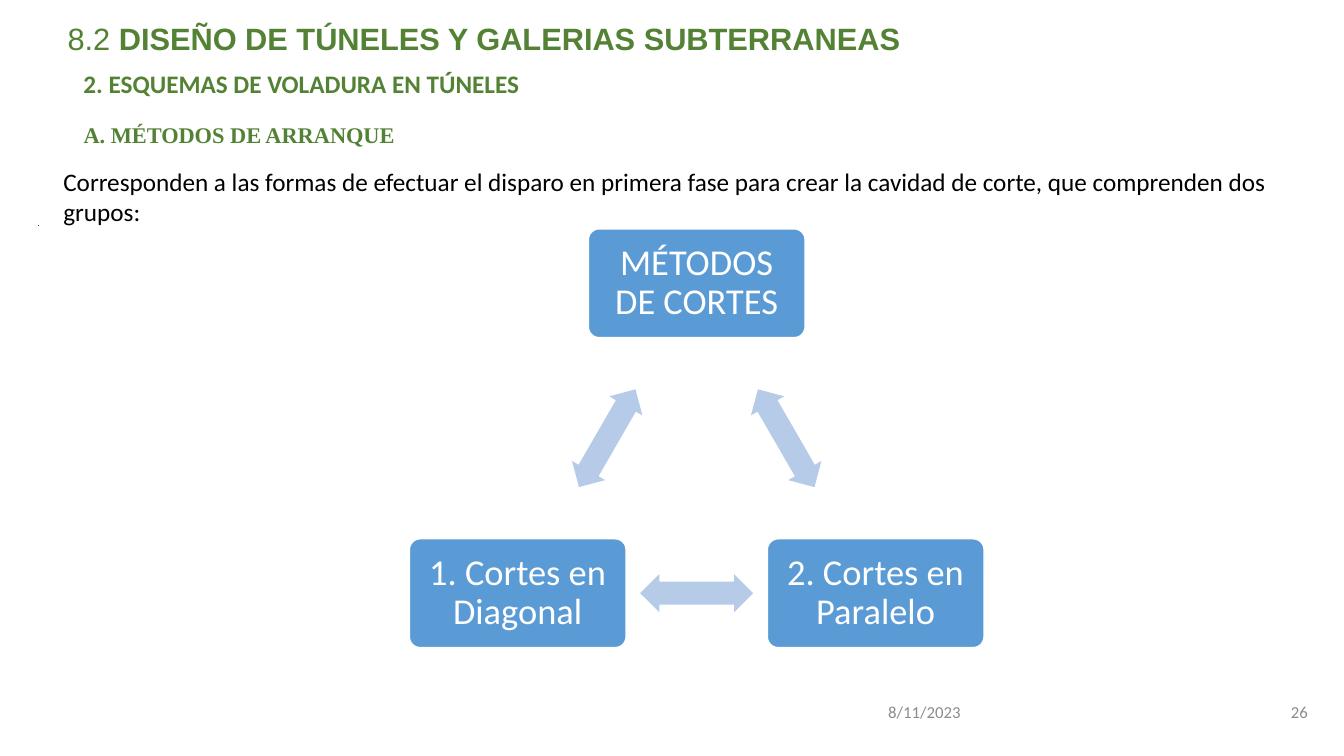
"""Build the slide on cut methods for tunnel blasting."""
from dataclasses import dataclass
from math import cos, radians, sin

from pptx import Presentation
from pptx.dml.color import RGBColor
from pptx.enum.shapes import MSO_SHAPE
from pptx.enum.text import MSO_ANCHOR, MSO_AUTO_SIZE, PP_ALIGN
from pptx.util import Inches, Pt

RECT, ROUND, ARROW = MSO_SHAPE.RECTANGLE, MSO_SHAPE.ROUNDED_RECTANGLE, MSO_SHAPE.LEFT_RIGHT_ARROW
TOP, MIDDLE = MSO_ANCHOR.TOP, MSO_ANCHOR.MIDDLE
LEFT, CENTER, RIGHT = PP_ALIGN.LEFT, PP_ALIGN.CENTER, PP_ALIGN.RIGHT
NO_FIT = MSO_AUTO_SIZE.NONE


@dataclass(frozen=True)
class Theme:
    green: str = "548235"
    blue: str = "5B9BD5"
    pale: str = "B5CBE7"
    gray: str = "8C8C8C"
    black: str = "000000"
    white: str = "FFFFFF"
    head: int = 22
    body: int = 18
    sub: int = 16
    node: int = 26
    small: int = 12


T = Theme()
TITLE = [("8.2 ", False), ("DISEÑO DE TÚNELES Y GALERIAS SUBTERRANEAS", True)]
TITLE_AT = (0.37, 0.15, 9.91, 0.47)
TEXTS = [
    ("2. ESQUEMAS DE VOLADURA EN TÚNELES", (0.73, 0.63, 4.94, 0.4),
     dict(size=T.body, color=T.green, bold=True)),
    ("A. MÉTODOS DE ARRANQUE", (0.73, 1.15, 6.28, 0.37),
     dict(size=T.sub, color=T.green, bold=True, font="Times New Roman")),
    ("Corresponden a las formas de efectuar el disparo en primera fase para crear "
     "la cavidad de corte, que comprenden dos grupos:", (0.53, 1.6, 12.54, 0.71),
     dict(size=T.body)),
    ("8/11/2023", (8.71, 6.86, 3.58, 0.4),
     dict(size=T.small, color=T.gray, anchor=MIDDLE)),
    ("26", (12.37, 6.86, 0.7, 0.4),
     dict(size=T.small, color=T.gray, anchor=MIDDLE, align=RIGHT)),
]
NODES = ["MÉTODOS DE CORTES", "2. Cortes en Paralelo", "1. Cortes en Diagonal"]
CYCLE_X, CYCLE_Y, RADIUS = 6.91, 4.86, 2.05
NODE_W, NODE_H = 2.15, 1.08
ARROW_W, ARROW_H = 1.12, 0.38
NODE_INSET = 0.11
DOT_AT = (0.38, 2.24, 0, 0)


def inches(box):
    return [Inches(v) for v in box]


def write(tf, text, size=18, color=T.black, font="Calibri", bold=False,
          align=LEFT, anchor=TOP, spacing=None, inset=None):
    """Fill a text frame with one paragraph, given as a string or (text, bold) runs."""
    tf.word_wrap, tf.auto_size, tf.vertical_anchor = True, NO_FIT, anchor
    if inset is not None:
        tf.margin_left = tf.margin_right = tf.margin_top = tf.margin_bottom = Inches(inset)
    p = tf.paragraphs[0]
    p.alignment = align
    if spacing:
        p.line_spacing = spacing
    for part, strong in [(text, bold)] if isinstance(text, str) else text:
        r = p.add_run()
        r.text = part
        r.font.name, r.font.size, r.font.bold = font, Pt(size), strong
        r.font.color.rgb = RGBColor.from_string(color)


def add_shape(s, kind, box, fill, line=None, width=1):
    sp = s.shapes.add_shape(kind, *inches(box))
    sp.shadow.inherit = False
    sp.fill.solid()
    sp.fill.fore_color.rgb = RGBColor.from_string(fill)
    if line:
        sp.line.color.rgb = RGBColor.from_string(line)
        sp.line.width = Pt(width)
    else:
        sp.line.fill.background()
    return sp


def around(angle, radius, w, h):
    """Return the box centred at a clockwise angle from the top of the cycle."""
    x = CYCLE_X + radius * sin(radians(angle))
    y = CYCLE_Y - radius * cos(radians(angle))
    return x - w / 2, y - h / 2, w, h


def add_cycle(s):
    step = 360 / len(NODES)
    for i, label in enumerate(NODES):
        sp = add_shape(s, ROUND, around(i * step, RADIUS, NODE_W, NODE_H), T.blue, T.white)
        sp.adjustments[0] = 0.1
        write(sp.text_frame, label, size=T.node, color=T.white, align=CENTER,
              anchor=MIDDLE, spacing=0.9, inset=NODE_INSET)
        turn = (i + 0.5) * step
        sp = add_shape(s, ARROW, around(turn, RADIUS * cos(radians(step / 2)),
                                        ARROW_W, ARROW_H), T.pale)
        sp.adjustments[0], sp.adjustments[1] = 0.6, 0.5
        sp.rotation = turn


def main():
    prs = Presentation()
    prs.slide_width, prs.slide_height = Inches(13.33), Inches(7.5)
    s = prs.slides.add_slide(prs.slide_layouts[5])
    title = s.shapes.title
    title.left, title.top, title.width, title.height = inches(TITLE_AT)
    write(title.text_frame, TITLE, size=T.head, color=T.green, font="Arial")
    pPr = title.text_frame.paragraphs[0]._p.get_or_add_pPr()
    pPr.set("marL", str(Inches(0.69)))
    pPr.set("indent", str(Inches(-0.49)))
    add_shape(s, RECT, DOT_AT, T.blue, T.black, 0.75)
    for text, box, style in TEXTS:
        write(s.shapes.add_textbox(*inches(box)).text_frame, text, **style)
    add_cycle(s)
    prs.save("out.pptx")


if __name__ == "__main__":
    main()
